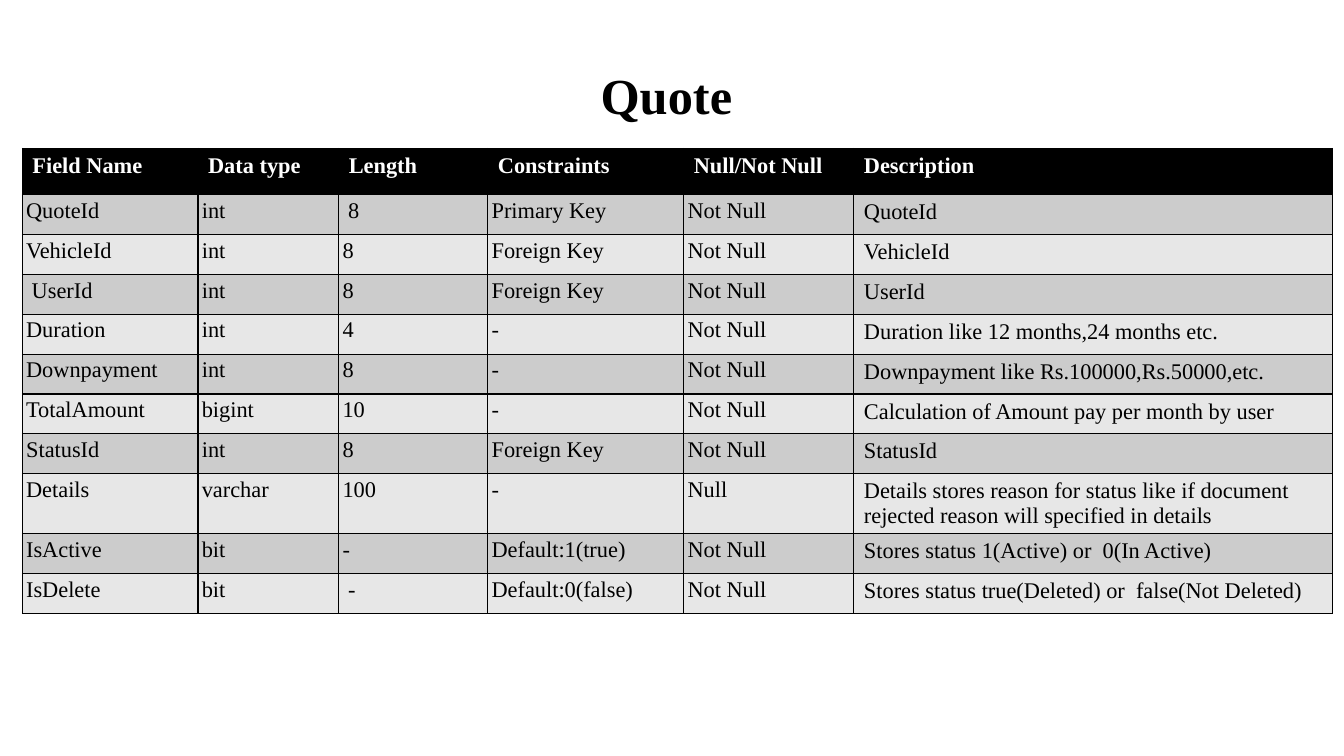
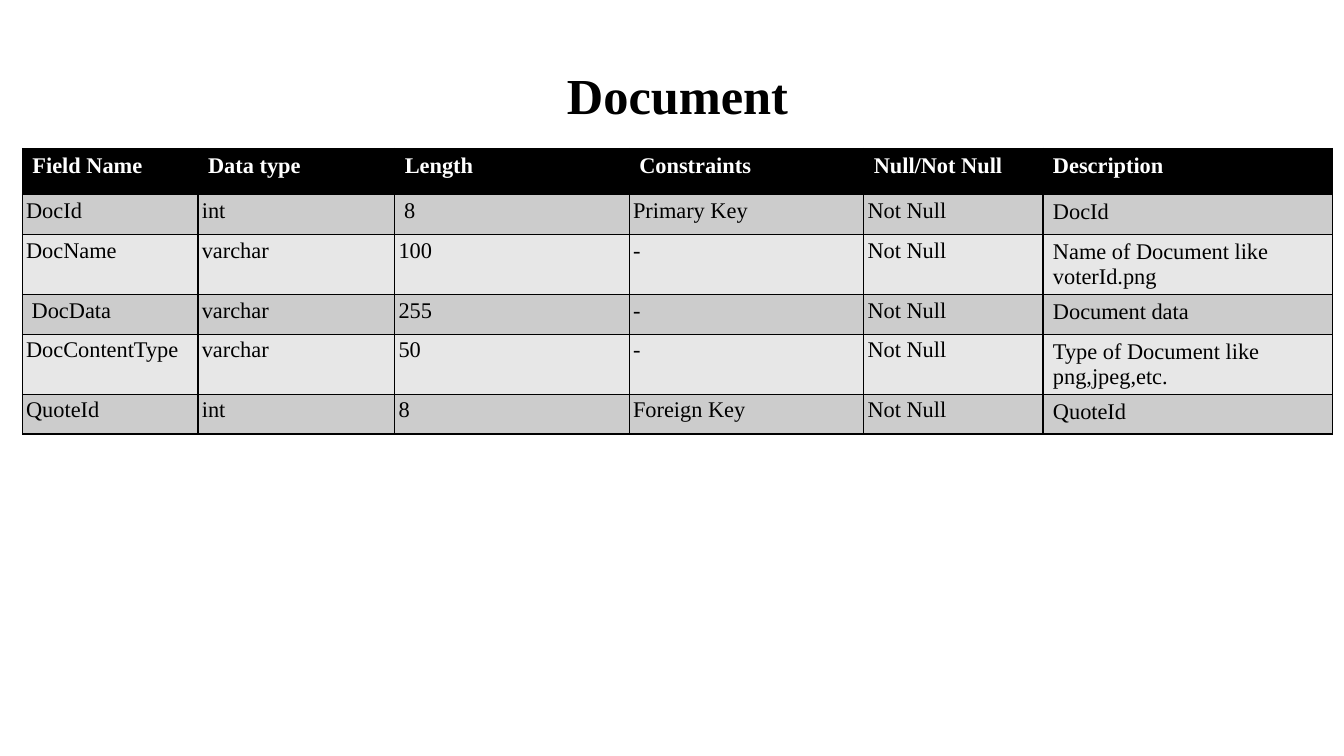
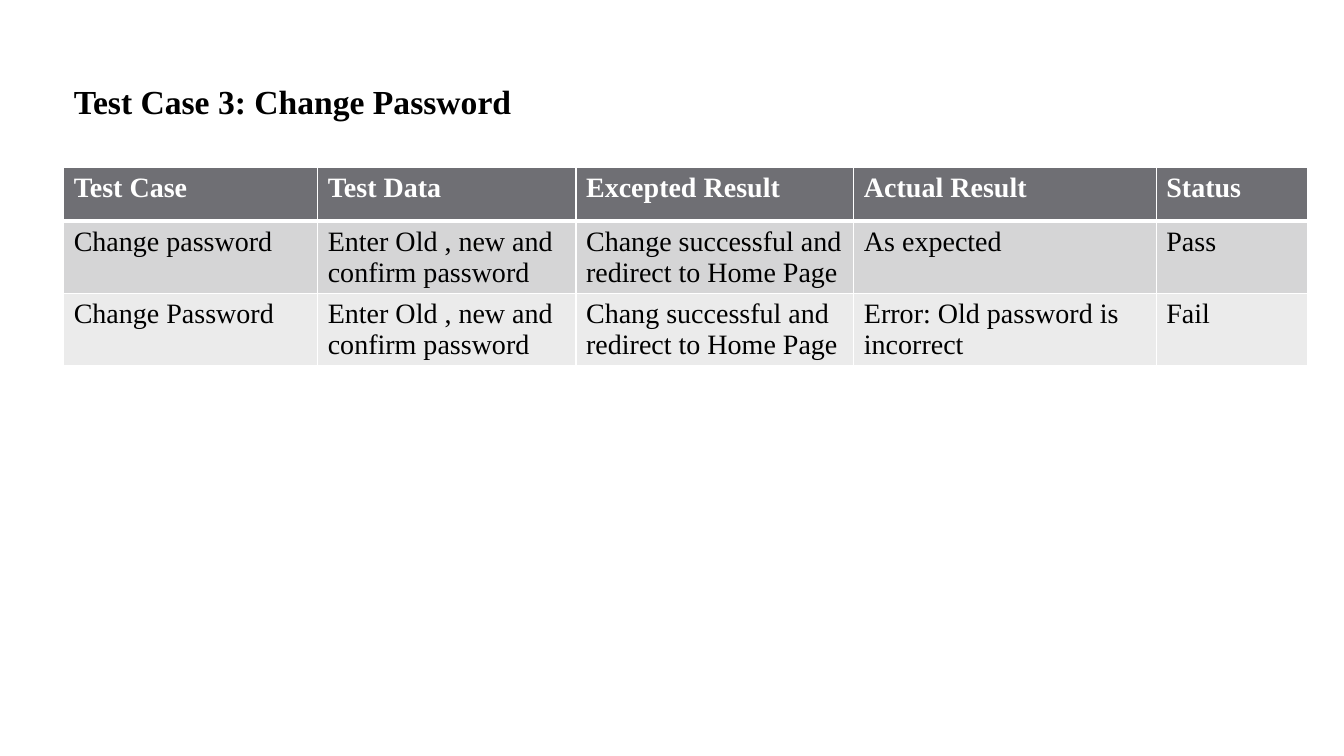
from pptx import Presentation
from pptx.dml.color import RGBColor
from pptx.enum import text as txt
from pptx.oxml import parse_xml
from pptx.oxml.ns import nsdecls
from pptx.util import Pt

BLACK = RGBColor(0x00, 0x00, 0x00)
WHITE = RGBColor(0xFF, 0xFF, 0xFF)
GREY_DARK = RGBColor(0xCC, 0xCC, 0xCC)
GREY_LIGHT = RGBColor(0xE7, 0xE7, 0xE7)
SLATE = RGBColor(0x6F, 0x6F, 0x74)
SLATE_DARK = RGBColor(0xD5, 0xD5, 0xD6)
SLATE_LIGHT = RGBColor(0xEB, 0xEB, 0xEB)
FONT = "Times New Roman"

SCHEMA_HEAD = ["Field Name", "Data type", "Length", "Constraints", "Null/Not Null", "Description"]
SCHEMA_STYLE = dict(
    left=16, top=106, size=16, head_height=33, row_height=28.5,
    head_fill=BLACK, bands=[GREY_DARK, GREY_LIGHT], border=BLACK, head_rule=1,
    tight_columns=5, title_size=36, title_top=42, title_height=51,
    title_align=txt.PP_ALIGN.CENTER,
)
TEST_STYLE = dict(
    left=45.5, top=119.5, size=20, head_height=38.5, row_height=51.5,
    head_fill=SLATE, bands=[SLATE_DARK, SLATE_LIGHT], border=WHITE, head_rule=3,
    tight_columns=0, title_size=24, title_top=54, title_height=36,
    title_align=txt.PP_ALIGN.LEFT,
)

# title, title width, column widths, rows, style
PAGES = [
    ("Quote", 920, [125.5, 100.5, 106.5, 140, 121.5, 342], [
        SCHEMA_HEAD,
        ["QuoteId", "int", " 8", "Primary Key", "Not Null", "QuoteId"],
        ["VehicleId", "int", "8", "Foreign Key", "Not Null", "VehicleId"],
        [" UserId", "int", "8", "Foreign Key", "Not Null", "UserId"],
        ["Duration", "int", "4", "-", "Not Null", "Duration like 12 months,24 months etc."],
        ["Downpayment", "int", "8", "-", "Not Null", "Downpayment like Rs.100000,Rs.50000,etc."],
        ["TotalAmount", "bigint", "10", "-", "Not Null", "Calculation of Amount pay per month by user"],
        ["StatusId", "int", "8", "Foreign Key", "Not Null", "StatusId"],
        ["Details", "varchar", "100", "-", "Null",
         "Details stores reason for status like if document rejected reason will specified in details"],
        ["IsActive", "bit", "-", "Default:1(true)", "Not Null", "Stores status 1(Active) or  0(In Active)"],
        ["IsDelete", "bit", " -", "Default:0(false)", "Not Null",
         "Stores status true(Deleted) or  false(Not Deleted)"],
    ], SCHEMA_STYLE),
    ("Document", 936, [125.5, 140.5, 167.5, 167.5, 128, 207], [
        SCHEMA_HEAD,
        ["DocId", "int", " 8", "Primary Key", "Not Null", "DocId"],
        ["DocName", "varchar", "100", "-", "Not Null", "Name of Document like voterId.png"],
        [" DocData", "varchar", "255", "-", "Not Null", "Document data"],
        ["DocContentType", "varchar", "50", "-", "Not Null", "Type of Document like png,jpeg,etc."],
        ["QuoteId", "int", "8", "Foreign Key", "Not Null", "QuoteId"],
    ], SCHEMA_STYLE),
    ("Test Case 3: Change Password", 548.5, [181.5, 184.5, 198.5, 216, 108], [
        ["Test Case", "Test Data", "Excepted Result", "Actual Result", "Status"],
        ["Change password", "Enter Old , new and confirm password",
         "Change successful and redirect to Home Page", "As expected", "Pass"],
        ["Change Password", "Enter Old , new and confirm password",
         "Chang successful and redirect to Home Page", "Error: Old password is incorrect", "Fail"],
    ], TEST_STYLE),
]


def format_text(frame, size, color, bold):
    for run in frame.paragraphs[0].runs:
        run.font.name = FONT
        run.font.size = Pt(size)
        run.font.bold = bold
        run.font.color.rgb = color


def add_borders(cell, color, widths):
    """Draw the cell's borders; widths maps a side (L, R, T, B) to points."""
    for side, width in widths.items():
        cell._tc.get_or_add_tcPr().append(parse_xml(
            f'<a:ln{side} {nsdecls("a")} w="{Pt(width)}"><a:solidFill>'
            f'<a:srgbClr val="{color}"/></a:solidFill></a:ln{side}>'))


prs = Presentation()
prs.slide_width, prs.slide_height = Pt(960), Pt(540)
title_only = prs.slide_layouts[5]

for heading, heading_width, columns, rows, style in PAGES:
    slide = prs.slides.add_slide(title_only)

    title = slide.shapes.title
    title.left, title.top = Pt(style["left"]), Pt(style["title_top"])
    title.width, title.height = Pt(heading_width), Pt(style["title_height"])
    title.text_frame.text = heading
    title.text_frame.auto_size = txt.MSO_AUTO_SIZE.NONE
    title.text_frame.vertical_anchor = txt.MSO_ANCHOR.TOP
    title.text_frame.paragraphs[0].alignment = style["title_align"]
    format_text(title.text_frame, style["title_size"], BLACK, True)

    heights = [style["head_height"]] + [style["row_height"]] * (len(rows) - 1)
    fields = slide.shapes.add_table(
        len(rows), len(columns), Pt(style["left"]), Pt(style["top"]),
        Pt(sum(columns)), Pt(sum(heights))).table
    fields.horz_banding = False
    for column, width in zip(fields.columns, columns):
        column.width = Pt(width)

    for r, values in enumerate(rows):
        fields.rows[r].height = Pt(heights[r])
        is_head = r == 0
        fill = style["head_fill"] if is_head else style["bands"][(r - 1) % 2]
        widths = dict(L=1, R=1,
                      T=style["head_rule"] if r == 1 else 1,
                      B=style["head_rule"] if is_head else 1)
        for c, value in enumerate(values):
            cell = fields.cell(r, c)
            cell.text_frame.text = value
            format_text(cell.text_frame, style["size"], WHITE if is_head else BLACK, is_head)
            if not is_head and c < style["tight_columns"]:
                cell.margin_left = cell.margin_right = Pt(2.7)
                cell.margin_top = cell.margin_bottom = Pt(2.7)
            add_borders(cell, style["border"], widths)
            cell.fill.solid()
            cell.fill.fore_color.rgb = fill

prs.save("out.pptx")
